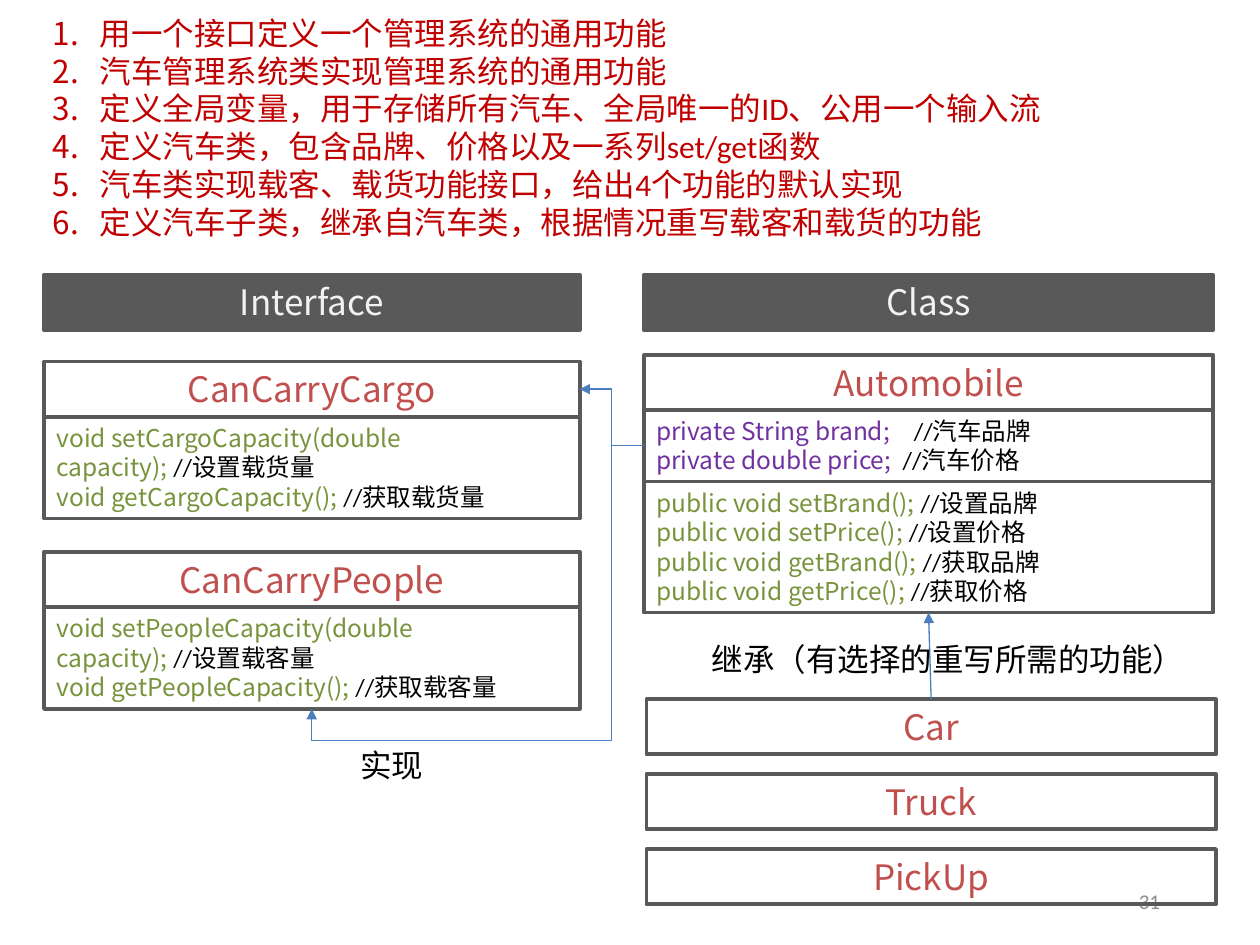
from lxml import etree
from pptx import Presentation
from pptx.dml.color import RGBColor
from pptx.enum import shapes, text
from pptx.oxml.ns import qn
from pptx.util import Pt

COLORS = {
    "dark": "595959", "light": "F2F2F2", "name": "C0504D", "method": "77933C",
    "field": "7030A0", "comment": "000000", "list": "C00000",
    "connector": "4B7EBC", "number": "8C8C8C",
}
CODE_FONT, TEXT_FONT = "Noto Sans CJK SC", "Calibri"
HEADER_HEIGHT = 31.5
INTERFACE_COLUMN = (25.2, 306)
CLASS_COLUMN = (367.9, 325.4)
SUBCLASS_COLUMN = (369.4, 325.4)

STEPS = [
    "用一个接口定义一个管理系统的通用功能",
    "汽车管理系统类实现管理系统的通用功能",
    "定义全局变量，用于存储所有汽车、全局唯一的ID、公用一个输入流",
    "定义汽车类，包含品牌、价格以及一系列set/get函数",
    "汽车类实现载客、载货功能接口，给出4个功能的默认实现",
    "定义汽车子类，继承自汽车类，根据情况重写载客和载货的功能",
]
INTERFACES = [
    (206.6, "CanCarryCargo", [
        ("void setCargoCapacity(double capacity); ", "//设置载货量"),
        ("void getCargoCapacity(); ", "//获取载货量")]),
    (315.4, "CanCarryPeople", [
        ("void setPeopleCapacity(double capacity); ", "//设置载客量"),
        ("void getPeopleCapacity(); ", "//获取载客量")]),
]
FIELDS = [
    ("private String brand;\t", " //汽车品牌"),
    ("private double price;  ", "//汽车价格"),
]
METHODS = [
    ("public void setBrand(); ", "//设置品牌"),
    ("public void setPrice(); ", "//设置价格"),
    ("public void getBrand(); ", "//获取品牌"),
    ("public void getPrice(); ", "//获取价格"),
]
SUBCLASSES = ["Car", "Truck", "PickUp"]


def color(name):
    return RGBColor.from_string(COLORS[name])


def add_run(paragraph, words, size, font_name, color_name):
    run = paragraph.add_run()
    run.text = words
    for key, value in {"size": Pt(size), "name": font_name}.items():
        setattr(run.font, key, value)
    run.font.color.rgb = color(color_name)
    east_asian = etree.SubElement(run.font._element, qn("a:ea"))
    east_asian.set("typeface", CODE_FONT)


def write(shape, lines, size, alignment=text.PP_ALIGN.LEFT, anchor=text.MSO_ANCHOR.TOP):
    """Fill a shape with lines, each a list of (words, font, colour) runs."""
    frame = shape.text_frame
    settings = {"word_wrap": True, "auto_size": text.MSO_AUTO_SIZE.NONE,
                "vertical_anchor": anchor}
    for key, value in settings.items():
        setattr(frame, key, value)
    for index, runs in enumerate(lines):
        paragraph = frame.paragraphs[0] if index == 0 else frame.add_paragraph()
        paragraph.alignment = alignment
        paragraph.line_spacing = Pt(size * 1.2)
        for words, font_name, color_name in runs:
            add_run(paragraph, words, size, font_name, color_name)


def add_box(slide, column, top, height, filled=False):
    left, width = column
    box = slide.shapes.add_shape(shapes.MSO_SHAPE.RECTANGLE,
                                 Pt(left), Pt(top), Pt(width), Pt(height))
    box.shadow.inherit = False
    if filled:
        box.fill.solid()
        box.fill.fore_color.rgb = color("dark")
    else:
        box.fill.background()
    box.line.color.rgb = color("dark")
    box.line.width = Pt(2.25)
    return box


def add_header(slide, column, top, words, color_name="name", filled=False):
    box = add_box(slide, column, top, HEADER_HEIGHT, filled)
    write(box, [[(words, CODE_FONT, color_name)]], 20, text.PP_ALIGN.CENTER)
    return box


def add_code(slide, column, top, height, members, color_name):
    box = add_box(slide, column, top, height)
    write(box, [[(code, CODE_FONT, color_name), (comment, TEXT_FONT, "comment")]
                for code, comment in members], 14)
    return box


def add_label(slide, bounds, lines, size=18, color_name="comment", **layout):
    label = slide.shapes.add_textbox(*map(Pt, bounds))
    write(label, [[(line, TEXT_FONT, color_name)] for line in lines], size, **layout)
    return label


def number_paragraphs(label):
    for paragraph in label.text_frame.paragraphs:
        properties = paragraph._p.get_or_add_pPr()
        properties.set("marL", str(Pt(27)))
        properties.set("indent", str(-Pt(27)))
        etree.SubElement(properties, qn("a:buFont")).set("typeface", CODE_FONT)
        etree.SubElement(properties, qn("a:buAutoNum")).set("type", "arabicPeriod")


def add_arrow(slide, kind, start=(0, 0), end=(0, 0)):
    arrow = slide.shapes.add_connector(kind, *map(Pt, start + end))
    arrow.line.color.rgb = color("connector")
    arrow.line.width = Pt(0.75)
    etree.SubElement(arrow.line._get_or_add_ln(), qn("a:tailEnd")).set("type", "triangle")
    etree.SubElement(arrow._element.spPr, qn("a:effectLst"))
    return arrow


def bend(arrow, preset, adjustments):
    geometry = arrow._element.spPr.find(qn("a:prstGeom"))
    geometry.set("prst", preset)
    guides = geometry.find(qn("a:avLst"))
    for index, value in enumerate(adjustments, 1):
        guide = etree.SubElement(guides, qn("a:gd"))
        guide.set("name", f"adj{index}")
        guide.set("fmla", f"val {round(value * 100000)}")


def main():
    presentation = Presentation()
    presentation.slide_width, presentation.slide_height = Pt(720), Pt(540)
    slide = presentation.slides.add_slide(presentation.slide_layouts[6])

    add_label(slide, (502, 500.4, 168, 28.8), ["31"], 12, "number",
              alignment=text.PP_ALIGN.RIGHT, anchor=text.MSO_ANCHOR.MIDDLE)
    number_paragraphs(add_label(slide, (23, 4.3, 649.4, 138.2), STEPS, color_name="list"))

    for column, words in ((INTERFACE_COLUMN, "Interface"), (CLASS_COLUMN, "Class")):
        add_header(slide, column, 157, words, "light", filled=True)
    for top, name, members in INTERFACES:
        add_code(slide, INTERFACE_COLUMN, top + HEADER_HEIGHT, 58.2, members, "method")
        add_header(slide, INTERFACE_COLUMN, top, name)

    add_header(slide, CLASS_COLUMN, 203, "Automobile")
    add_code(slide, CLASS_COLUMN, 234.2, 41, FIELDS, "field")
    methods = add_code(slide, CLASS_COLUMN, 275.2, 74.9, METHODS, "method")
    subclasses = [add_header(slide, SUBCLASS_COLUMN, 399.6 + 42.8 * index, name)
                  for index, name in enumerate(SUBCLASSES)]

    inheritance = add_arrow(slide, shapes.MSO_CONNECTOR.STRAIGHT)
    inheritance.begin_connect(subclasses[0], 0)
    inheritance.end_connect(methods, 2)
    add_label(slide, (399.6, 362.2, 312.5, 28.8), ["继承（有选择的重写所需的功能）"])

    fields_side = (367.9, 254.5)
    to_people = add_arrow(slide, shapes.MSO_CONNECTOR.ELBOW, fields_side, (178.2, 405.1))
    bend(to_people, "bentConnector4", (0.097, 1.119))
    add_arrow(slide, shapes.MSO_CONNECTOR.ELBOW, fields_side, (331.2, 222.4))
    add_label(slide, (198.7, 422.6, 85, 28.8), ["实现"])

    presentation.save("out.pptx")


if __name__ == "__main__":
    main()
